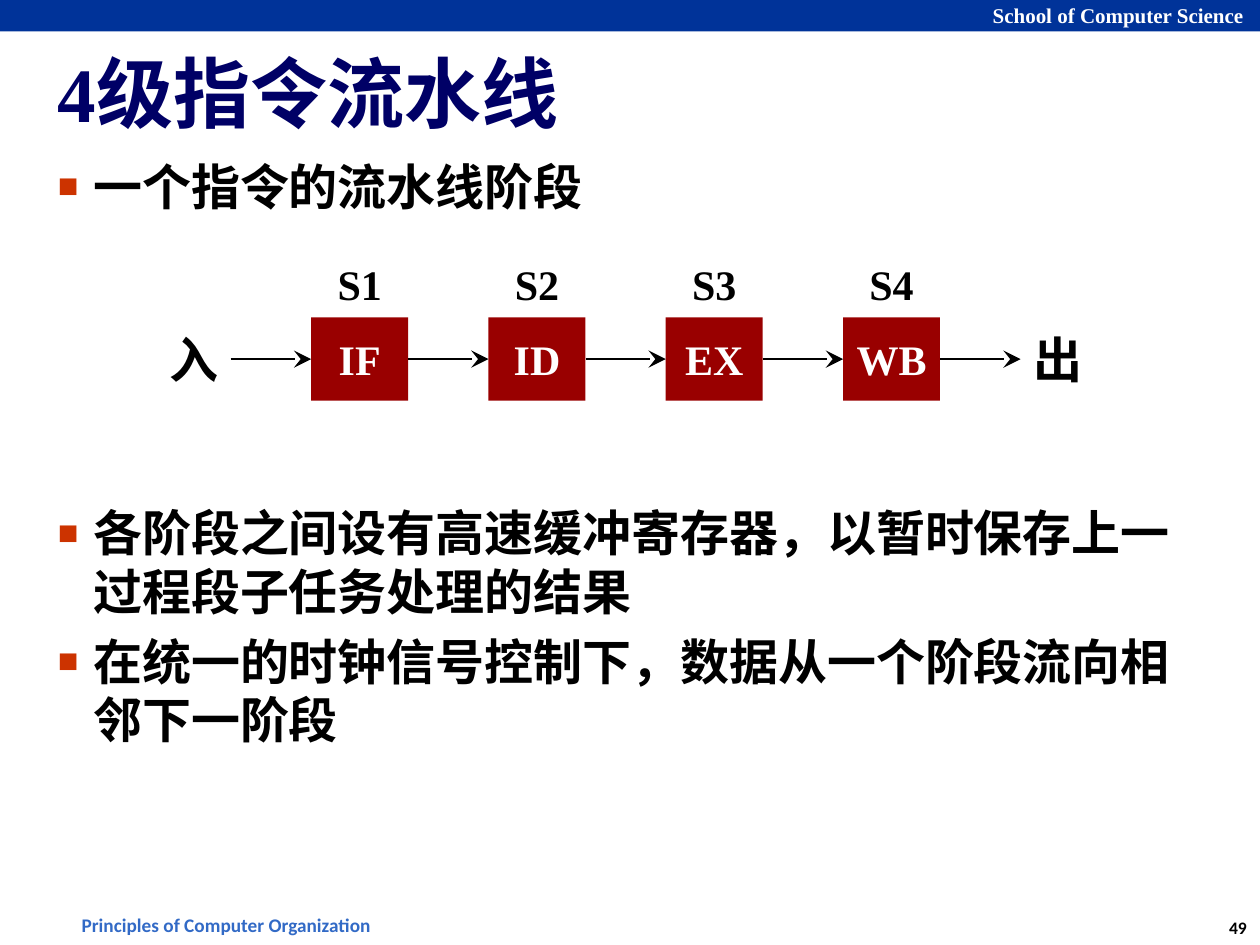
from lxml.etree import SubElement
from pptx import Presentation
from pptx.dml.color import RGBColor
from pptx.enum.lang import MSO_LANGUAGE_ID
from pptx.enum.shapes import MSO_CONNECTOR, MSO_SHAPE
from pptx.enum.text import MSO_ANCHOR, MSO_AUTO_SIZE, PP_ALIGN
from pptx.oxml.ns import qn
from pptx.util import Inches, Pt

WIDE, HIGH = Inches(10), Inches(7.5)
SERIF, SANS = "Times New Roman", "Calibri"
BLACK, WHITE, NAVY = "000000", "FFFFFF", "000066"
BLUE, SKY, RED, RUST = "003399", "326AC6", "990000", "CC3300"
STEPS = ["IF", "ID", "EX", "WB"]
STEP_X, PITCH, STEP_W = 24.7, 14.07, 7.7
POINTS = [
    ("一个指令的流水线阶段", 0),
    ("各阶段之间设有高速缓冲寄存器，以暂时保存上一过程段子任务处理的结果", 164.5),
    ("在统一的时钟信号控制下，数据从一个阶段流向相邻下一阶段", 6),
]


def hue(code):
    return RGBColor.from_string(code)


def area(x, y, w, h):
    return [int(side * part / 100) for side, part in
            zip((WIDE, HIGH, WIDE, HIGH), (x, y, w, h))]


def move(shape, *share):
    shape.left, shape.top, shape.width, shape.height = area(*share)


def write(par, text, size=24, color=BLACK, font=SERIF, align=PP_ALIGN.CENTER):
    par.alignment = align
    run = par.add_run()
    run.text = text
    face = run.font
    face.name, face.size, face.bold = font, Pt(size), True
    face.color.rgb = hue(color)
    face.language_id = MSO_LANGUAGE_ID.SIMPLIFIED_CHINESE


def label(slide, share, text, **style):
    box = slide.shapes.add_textbox(*area(*share))
    box.text_frame.word_wrap = False
    write(box.text_frame.paragraphs[0], text, **style)
    return box


def block(slide, share, color, text=""):
    box = slide.shapes.add_shape(MSO_SHAPE.RECTANGLE, *area(*share))
    box.shadow.inherit = False
    box.fill.solid()
    box.fill.fore_color.rgb = hue(color)
    box.line.fill.background()
    if text:
        frame = box.text_frame
        frame.word_wrap = False
        frame.vertical_anchor = MSO_ANCHOR.MIDDLE
        write(frame.paragraphs[0], text, color=WHITE)
    return box


def arrow(slide, start, end):
    line = slide.shapes.add_connector(MSO_CONNECTOR.STRAIGHT, 0, 0, 0, 0)
    line.begin_connect(start, 3)
    line.end_connect(end, 1)
    line.line.color.rgb = hue(BLACK)
    line.line.width = Pt(1.5)
    SubElement(line.line._get_or_add_ln(), qn("a:tailEnd"),
               type="stealth", w="lg", len="lg")
    SubElement(line._element.spPr, qn("a:effectLst"))


def bullet(par):
    props = par._p.get_or_add_pPr()
    props.set("marL", str(Inches(0.28)))
    props.set("indent", str(-Inches(0.28)))
    tint = SubElement(props, qn("a:buClr"))
    SubElement(tint, qn("a:srgbClr"), val=RUST)
    SubElement(props, qn("a:buSzPct"), val="70000")
    SubElement(props, qn("a:buFont"), typeface="Arial")
    SubElement(props, qn("a:buChar"), char="■")


def holder(shape, anchor, *share):
    move(shape, *share)
    frame = shape.text_frame
    frame.word_wrap = True
    frame.auto_size = MSO_AUTO_SIZE.NONE
    frame.vertical_anchor = anchor
    frame.margin_left = frame.margin_right = Inches(0.04)
    frame.margin_top = frame.margin_bottom = Inches(0.04)
    return frame


def banner(slide):
    block(slide, (0, 0, 100, 3.33), BLUE)
    label(slide, (77.8, -0.4, 22.1, 4), "School of Computer Science",
          size=12, color=WHITE, align=PP_ALIGN.LEFT)
    label(slide, (5.5, 96, 25.6, 3.87), "Principles of Computer Organization",
          size=11, color=SKY, font=SANS, align=PP_ALIGN.LEFT)
    label(slide, (96.4, 96.4, 3.7, 3.6), "49", size=10, font=SANS)


def prose(slide):
    title = holder(slide.shapes.title, MSO_ANCHOR.MIDDLE, 4.2, 3.73, 91.7, 11.87)
    write(title.paragraphs[0], "4级指令流水线", size=44, color=NAVY,
          align=PP_ALIGN.LEFT)
    body = holder(slide.placeholders[1], MSO_ANCHOR.TOP, 4.2, 16, 91.7, 76.27)
    for i, (text, gap) in enumerate(POINTS):
        par = body.add_paragraph() if i else body.paragraphs[0]
        bullet(par)
        par.space_before = Pt(gap)
        write(par, text, size=28, align=PP_ALIGN.LEFT)


def flow(slide):
    chain = [label(slide, (12.4, 34.2, 5.9, 7.6), "入", size=28)]
    for i, name in enumerate(STEPS):
        x = STEP_X + i * PITCH
        label(slide, (x, 26.67, STEP_W, 6.67), f"S{i + 1}")
        chain.append(block(slide, (x, 33.6, STEP_W, 8.8), RED, name))
    chain.append(label(slide, (81, 34.2, 5.9, 7.6), "出", size=28))
    for start, end in zip(chain, chain[1:]):
        arrow(slide, start, end)


def main():
    deck = Presentation()
    deck.slide_width, deck.slide_height = WIDE, HIGH
    slide = deck.slides.add_slide(deck.slide_layouts[1])
    banner(slide)
    prose(slide)
    flow(slide)
    deck.save("out.pptx")


if __name__ == "__main__":
    main()
